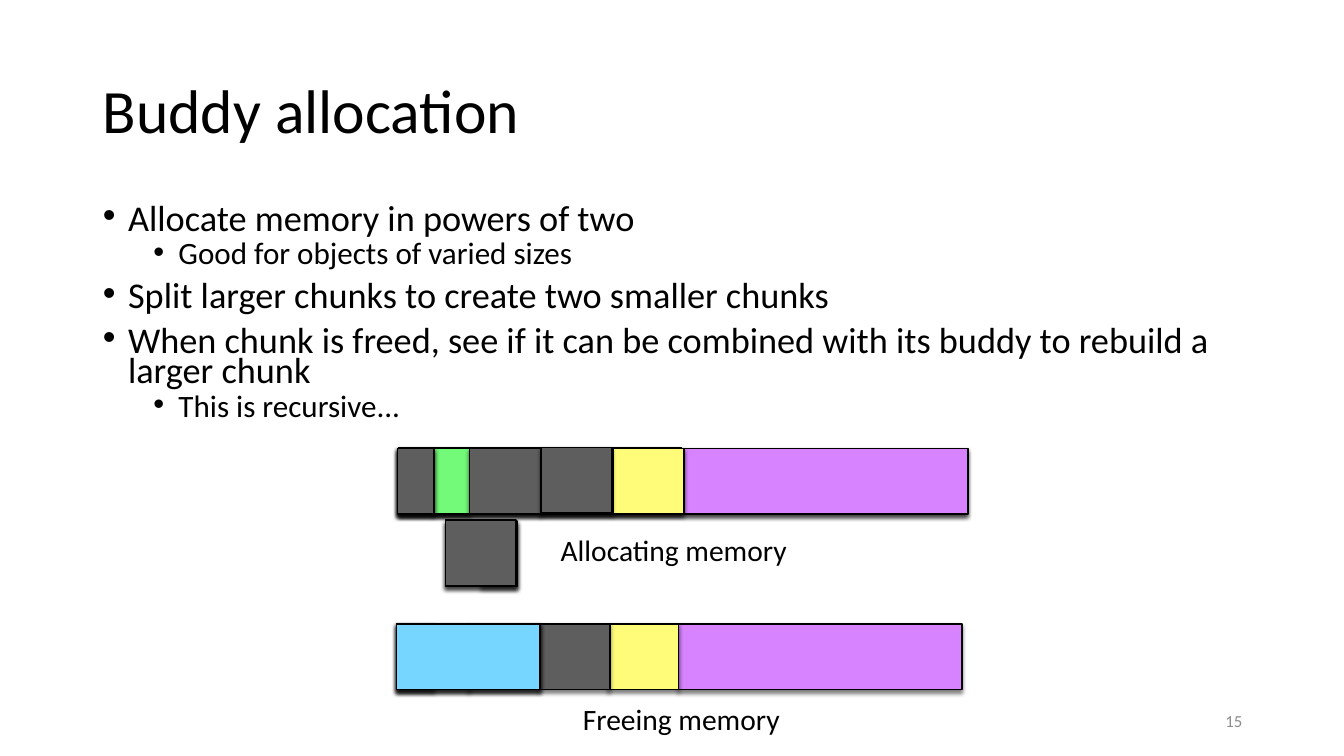
from dataclasses import dataclass

from lxml import etree
from pptx import Presentation
from pptx.dml.color import RGBColor
from pptx.enum.shapes import MSO_SHAPE
from pptx.enum.text import MSO_ANCHOR, MSO_AUTO_SIZE, PP_ALIGN
from pptx.oxml.ns import qn
from pptx.util import Inches, Pt

RECTANGLE = MSO_SHAPE.RECTANGLE
MIDDLE, TOP = MSO_ANCHOR.MIDDLE, MSO_ANCHOR.TOP
LEFT, RIGHT = PP_ALIGN.LEFT, PP_ALIGN.RIGHT
NO_FIT = MSO_AUTO_SIZE.NONE

FONT = "Calibri"
BLACK = RGBColor(0x00, 0x00, 0x00)
PAGE_GRAY = RGBColor(0x8C, 0x8C, 0x8C)
NAVY = RGBColor(0x00, 0x54, 0x93)
PURPLE = RGBColor(0xD7, 0x83, 0xFF)
BLUE = RGBColor(0x76, 0xD6, 0xFF)
YELLOW = RGBColor(0xFF, 0xFC, 0x79)
GREEN = RGBColor(0x73, 0xFA, 0x79)
GRAY = RGBColor(0x5E, 0x5E, 0x5E)

# Chunk widths in inches: each size is half of the one before
WHOLE, HALF, QUARTER, EIGHTH, SIXTEENTH = 5.63, 2.81, 1.41, 0.7, 0.36
CHUNK_HEIGHT = 0.65
ALLOCATING_TOP, REQUEST_TOP, FREEING_TOP = 4.45, 5.17, 6.19


@dataclass
class Chunk:
    left: float
    width: float
    color: RGBColor
    rise: float = 0


@dataclass
class Bullet:
    text: str
    level: int = 0


@dataclass
class Label:
    text: str
    left: float
    top: float
    width: float
    height: float
    size: float = 21.1
    color: RGBColor = BLACK
    align: PP_ALIGN = LEFT
    margin: float = 0.04
    wrap: bool = False


BULLETS = [
    Bullet("Allocate memory in powers of two"),
    Bullet("Good for objects of varied sizes", 1),
    Bullet("Split larger chunks to create two smaller chunks"),
    Bullet("When chunk is freed, see if it can be combined with its buddy "
           "to rebuild a larger chunk"),
    Bullet("This is recursive...", 1),
]

# Each split lies on top of the chunk it divides
ALLOCATING = [
    Chunk(3.95, WHOLE, NAVY),
    Chunk(3.95, HALF, PURPLE, 0.01),
    Chunk(6.79, HALF, PURPLE),
    Chunk(3.95, QUARTER, BLUE),
    Chunk(5.36, QUARTER, BLUE),
    Chunk(3.95, EIGHTH, YELLOW),
    Chunk(4.3, SIXTEENTH, GREEN),
    Chunk(3.95, SIXTEENTH, GREEN),
    Chunk(3.94, SIXTEENTH, GRAY),
    Chunk(4.66, EIGHTH, GRAY),
    Chunk(5.38, EIGHTH, YELLOW),
    Chunk(6.08, EIGHTH, YELLOW),
    Chunk(5.37, EIGHTH, GRAY, 0.01),
]
REQUESTS = [
    Chunk(4.77, SIXTEENTH, GRAY),
    Chunk(4.42, EIGHTH, GRAY),
    Chunk(4.42, EIGHTH, GRAY, 0.01),
]
# Each rebuilt chunk lies on top of the buddies it joins
FREEING = [
    Chunk(6.73, HALF, PURPLE),
    Chunk(6.03, EIGHTH, YELLOW),
    Chunk(5.35, EIGHTH, GRAY),
    Chunk(4.66, EIGHTH, GRAY),
    Chunk(4.3, SIXTEENTH, GREEN),
    Chunk(3.93, SIXTEENTH, GRAY),
    Chunk(4.65, EIGHTH, YELLOW),
    Chunk(3.94, SIXTEENTH, GREEN),
    Chunk(3.94, EIGHTH, YELLOW),
    Chunk(3.93, 1.42, BLUE),
]
LABELS = [
    Label("15", 9.42, 6.95, 3, 0.4, 12, PAGE_GRAY, RIGHT, 0.1, True),
    Label("Allocating memory", 5.52, 5.24, 2.35, 0.43),
    Label("Freeing memory", 5.74, 6.92, 2.05, 0.43),
]


def place(shape, left: float, top: float, width: float, height: float) -> None:
    shape.left, shape.top = Inches(left), Inches(top)
    shape.width, shape.height = Inches(width), Inches(height)


def style_spans(para, size: float, color: RGBColor = BLACK) -> None:
    for span in para.runs:
        span.font.name = FONT
        span.font.size = Pt(size)
        span.font.color.rgb = color


def add_title(page, text: str) -> None:
    title = page.shapes.title
    place(title, 0.92, 0.4, 11.5, 1.45)
    frame = title.text_frame
    frame.text = text
    frame.auto_size = NO_FIT
    frame.vertical_anchor = MIDDLE
    para = frame.paragraphs[0]
    para.alignment = LEFT
    para.line_spacing = 0.9
    style_spans(para, 44)


def add_bullets(page, bullets: list[Bullet]) -> None:
    body = page.placeholders[1]
    place(body, 0.92, 2, 11.5, 2.33)
    frame = body.text_frame
    frame.text = "\n".join(bullet.text for bullet in bullets)
    frame.auto_size = NO_FIT
    frame.vertical_anchor = TOP
    for index, (para, bullet) in enumerate(zip(frame.paragraphs, bullets)):
        properties = para._p.get_or_add_pPr()
        properties.set("marL", str(Inches(0.25 + 0.5 * bullet.level)))
        properties.set("indent", str(Inches(-0.25)))
        etree.SubElement(properties, qn("a:buFont"), typeface="Arial")
        etree.SubElement(properties, qn("a:buChar"), char="•")
        para.level = bullet.level
        para.alignment = LEFT
        para.line_spacing = 0.7
        para.space_before = Pt((5 if bullet.level else 10) if index else 0)
        style_spans(para, 22.2 if bullet.level else 25.9)


def add_shadow(shape) -> None:
    shape.shadow.inherit = False
    effects = shape._element.spPr.find(qn("a:effectLst"))
    shadow = etree.SubElement(effects, qn("a:outerShdw"), blurRad=str(Pt(3)),
                              dist=str(Pt(2)), dir="5400000", rotWithShape="0")
    color = etree.SubElement(shadow, qn("a:srgbClr"), val=str(BLACK))
    etree.SubElement(color, qn("a:alpha"), val="50000")


def add_chunks(page, chunks: list[Chunk], top: float) -> None:
    for chunk in chunks:
        box = page.shapes.add_shape(
            RECTANGLE, Inches(chunk.left), Inches(top - chunk.rise),
            Inches(chunk.width), Inches(CHUNK_HEIGHT))
        box.fill.solid()
        box.fill.fore_color.rgb = chunk.color
        box.line.color.rgb = BLACK
        box.line.width = Pt(1)
        add_shadow(box)


def add_label(page, label: Label) -> None:
    box = page.shapes.add_textbox(Inches(label.left), Inches(label.top),
                                  Inches(label.width), Inches(label.height))
    frame = box.text_frame
    frame.text = label.text
    frame.word_wrap = label.wrap
    frame.vertical_anchor = MIDDLE
    frame.margin_left = frame.margin_right = Inches(label.margin)
    frame.margin_top = frame.margin_bottom = Inches(0.04)
    para = frame.paragraphs[0]
    para.alignment = label.align
    style_spans(para, label.size, label.color)


def main() -> None:
    deck = Presentation()
    deck.slide_width, deck.slide_height = Inches(13.33), Inches(7.5)
    page = deck.slides.add_slide(deck.slide_layouts[1])
    # Title and list
    add_title(page, "Buddy allocation")
    add_bullets(page, BULLETS)
    # Memory bars
    add_chunks(page, ALLOCATING, ALLOCATING_TOP)
    add_chunks(page, REQUESTS, REQUEST_TOP)
    add_chunks(page, FREEING, FREEING_TOP)
    # Captions and page number
    for label in LABELS:
        add_label(page, label)
    deck.save("out.pptx")


if __name__ == "__main__":
    main()
